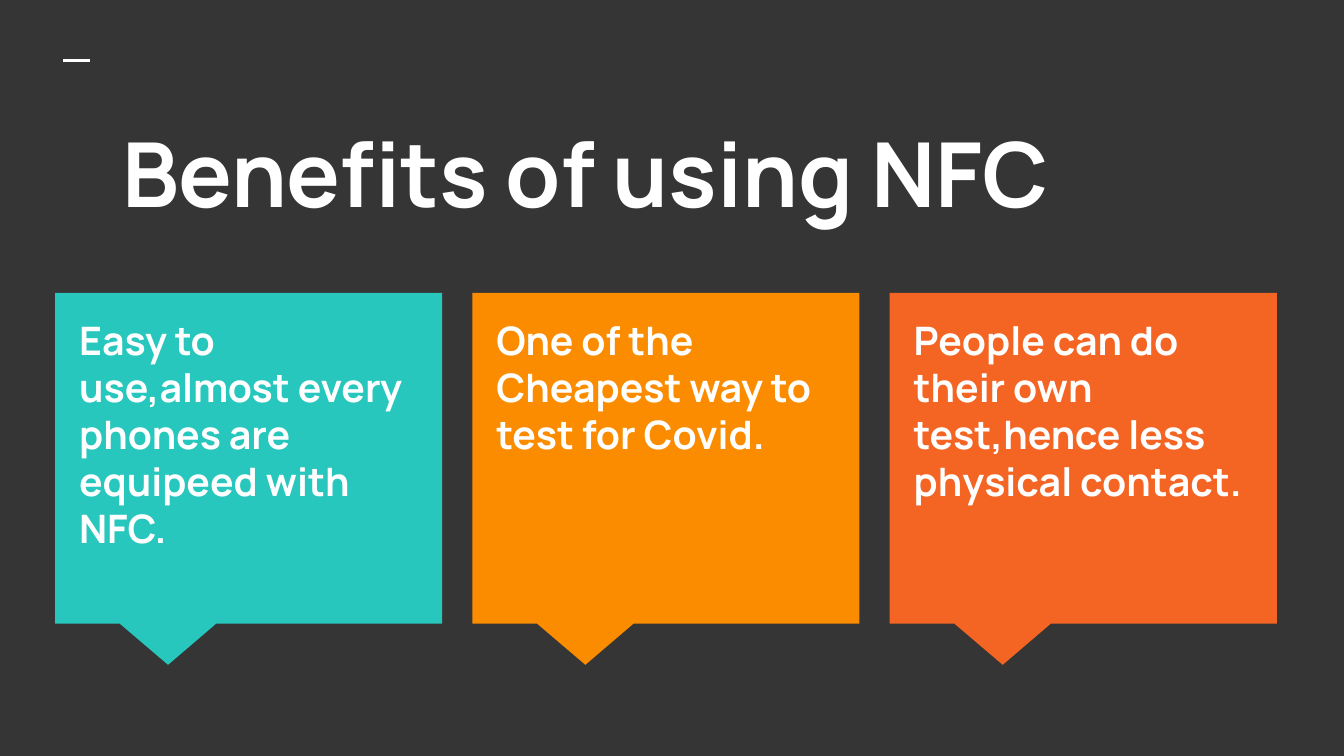
from pptx import Presentation
from pptx.dml.color import RGBColor
from pptx.enum.shapes import MSO_CONNECTOR, MSO_SHAPE
from pptx.enum.text import MSO_ANCHOR
from pptx.oxml.ns import qn
from pptx.util import Inches, Pt
from lxml import etree

CALLOUT = MSO_SHAPE.RECTANGULAR_CALLOUT
STRAIGHT = MSO_CONNECTOR.STRAIGHT
TOP = MSO_ANCHOR.TOP

COLORS = {
    "background": "353535",
    "white": "FFFFFF",
    "teal": "27C7BD",
    "amber": "FB8C00",
    "orange": "F46524",
}


class SlideBuilder:
    font = "Manrope"

    def __init__(self, slide):
        self.s = slide

    def color(self, name):
        return RGBColor.from_string(COLORS[name])

    def background(self, name):
        fill = self.s.background.fill
        fill.solid()
        fill.fore_color.rgb = self.color(name)

    def line(self, x1, y1, x2, y2, name, width):
        line = self.s.shapes.add_connector(
            STRAIGHT, Inches(x1), Inches(y1), Inches(x2), Inches(y2))
        line.line.color.rgb = self.color(name)
        line.line.width = Pt(width)
        etree.SubElement(line._element.spPr, qn("a:effectLst"))

    def callout(self, x, y, w, h, name):
        sp = self.s.shapes.add_shape(
            CALLOUT, Inches(x), Inches(y), Inches(w), Inches(h))
        sp.adjustments[0] = -0.208
        sp.adjustments[1] = 0.625
        sp.shadow.inherit = False
        sp.fill.solid()
        sp.fill.fore_color.rgb = self.color(name)
        sp.line.fill.background()

    def text(self, x, y, w, h, text, size, indent=0, space_after=0):
        sp = self.s.shapes.add_textbox(Inches(x), Inches(y), Inches(w), Inches(h))
        tf = sp.text_frame
        tf.word_wrap = True
        tf.vertical_anchor = TOP
        tf.margin_left = tf.margin_right = Inches(0.1)
        tf.margin_top = tf.margin_bottom = Inches(0.1)
        tf.text = text
        p = tf.paragraphs[0]
        p.space_after = Pt(space_after)
        if indent:
            p._p.get_or_add_pPr().set("indent", str(Inches(indent)))
        font = p.runs[0].font
        font.name = self.font
        font.size = Pt(size)
        font.bold = True
        font.color.rgb = self.color("white")


def main():
    # Widescreen 16:9 page
    prs = Presentation()
    prs.slide_width, prs.slide_height = Inches(10), Inches(10 * 9 / 16)
    builder = SlideBuilder(prs.slides.add_slide(prs.slide_layouts[6]))
    builder.background("background")

    # Accent dash and title
    builder.line(0.47, 0.45, 0.67, 0.45, "white", 1.5)
    builder.text(0.31, 0.78, 9.43, 1.12, "Benefits of using NFC", 48, indent=0.5)

    # Three benefit cards, evenly spaced
    benefits = [
        ("teal", "Easy to use,almost every phones are equipeed with NFC."),
        ("amber", "One of the Cheapest way to test for Covid."),
        ("orange", "People can do their own test,hence less physical contact."),
    ]
    first, last = 0.41, 6.62
    pitch = (last - first) / (len(benefits) - 1)
    for i, (name, benefit) in enumerate(benefits):
        x = first + i * pitch
        builder.callout(x, 2.18, 2.88, 2.46, name)
        builder.text(x + 0.08, 2.25, 2.71, 2.19, benefit, 21, space_after=12)

    prs.save("out.pptx")


if __name__ == "__main__":
    main()
